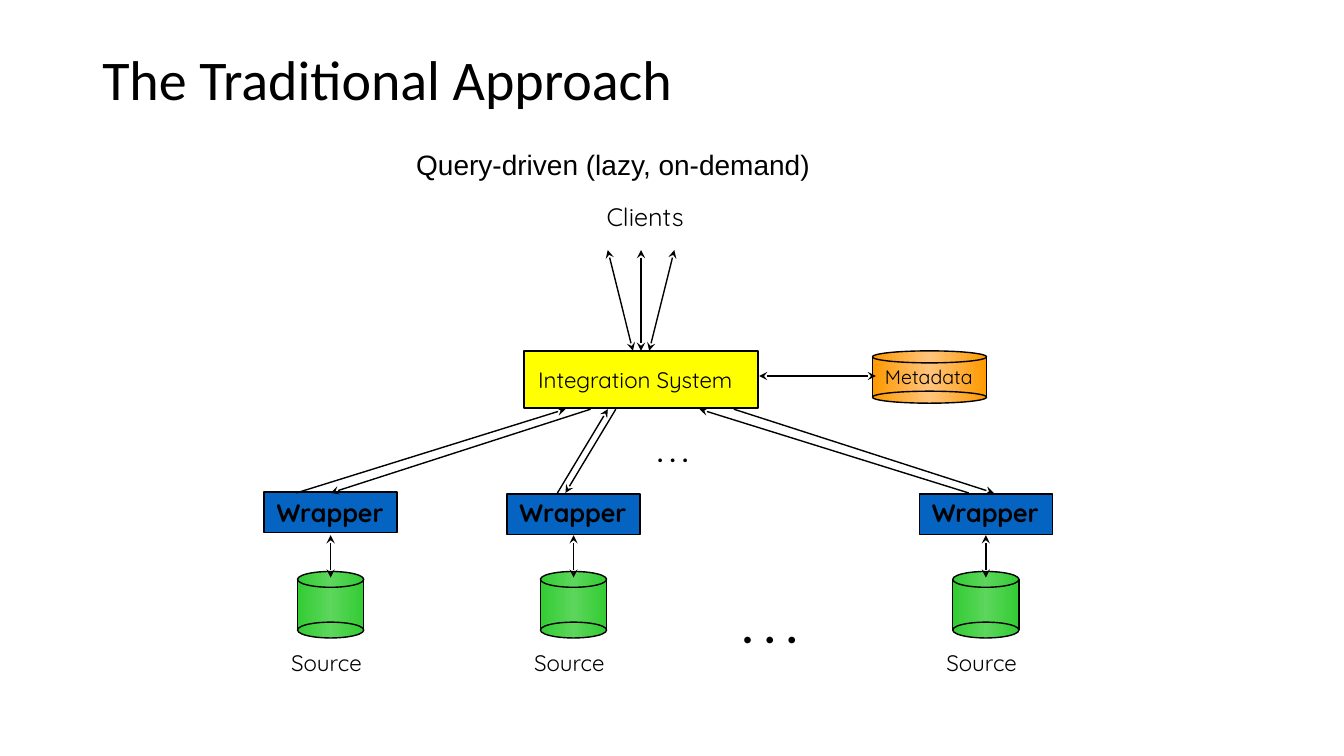
"""Build the slide on the traditional, query-driven integration approach."""
from copy import deepcopy
from dataclasses import dataclass

from lxml import etree
from pptx import Presentation
from pptx.dml.color import RGBColor
from pptx.enum.shapes import MSO_CONNECTOR, MSO_SHAPE
from pptx.enum.text import MSO_ANCHOR, MSO_AUTO_SIZE
from pptx.oxml.ns import qn
from pptx.util import Pt

RECT, OVAL = MSO_SHAPE.RECTANGLE, MSO_SHAPE.OVAL
STRAIGHT = MSO_CONNECTOR.STRAIGHT
TOP = MSO_ANCHOR.TOP
FIT, NO_FIT = MSO_AUTO_SIZE.SHAPE_TO_FIT_TEXT, MSO_AUTO_SIZE.NONE

BLACK = RGBColor(0x00, 0x00, 0x00)
WHITE = RGBColor(0xFF, 0xFF, 0xFF)
YELLOW = RGBColor(0xFF, 0xFF, 0x00)
BLUE = RGBColor(0x05, 0x63, 0xC1)
GREEN = RGBColor(0x33, 0xCC, 0x33)
LIGHT_GREEN = RGBColor(0x5C, 0xD6, 0x5C)
ORANGE = RGBColor(0xFF, 0x99, 0x00)
LIGHT_ORANGE = RGBColor(0xFF, 0xC4, 0x7C)

SYSTEM_BOTTOM, WRAPPER_TOP = 292.3, 352.1


@dataclass(frozen=True)
class Box:
    left: float
    top: float
    width: float
    height: float

    def lengths(self) -> tuple:
        return Pt(self.left), Pt(self.top), Pt(self.width), Pt(self.height)


@dataclass(frozen=True)
class Label:
    text: str
    box: Box
    size: float
    font: str = "Quicksand"
    bold: bool = False
    wrap: bool = False


@dataclass(frozen=True)
class Arrow:
    x1: float
    y1: float
    x2: float
    y2: float
    both: bool = True


@dataclass(frozen=True)
class Branch:
    center: float
    wrapper_top: float
    up: tuple
    down: tuple


BRANCHES = [
    Branch(236.2, 351.4, (211.7, 403.9), (421.9, 236.2)),
    Branch(409.7, 352.8, (398.2, 434.2), (439.9, 403.9)),
    Branch(704.2, 352.8, (691.9, 499.7), (524.2, 709.9)),
]
LABELS = [
    Label("Clients", Box(426.2, 140.4, 76.3, 28.8), 18),
    Label("Integration System", Box(377.3, 257.8, 161.3, 26.6), 16),
    Label("Metadata", Box(625, 257, 78.5, 24.5), 14),
    Label(". . .", Box(462.2, 308.9, 37.4, 28.8), 18, "Calibri", True),
    Label(". . .", Box(522.7, 424.1, 54.7, 46), 32, "Calibri", True),
    Label("Query-driven (lazy, on-demand)", Box(290.2, 101.5, 612, 54), 20,
          "Arial", wrap=True),
]


def add_label(shapes, label: Label):
    s = shapes.add_textbox(*label.box.lengths())
    tf = s.text_frame
    tf.word_wrap = label.wrap
    tf.auto_size = NO_FIT if label.wrap else FIT
    tf.text = label.text
    f = tf.paragraphs[0].runs[0].font
    f.name, f.size, f.bold = label.font, Pt(label.size), label.bold
    f.color.rgb = BLACK
    return s


def add_block(shapes, kind, box: Box, fill: RGBColor, line: RGBColor = BLACK,
              middle: RGBColor | None = None) -> None:
    s = shapes.add_shape(kind, *box.lengths())
    s.shadow.inherit = False
    s.line.color.rgb = line
    s.line.width = Pt(1)
    if middle is None:
        s.fill.solid()
        s.fill.fore_color.rgb = fill
        return
    s.fill.gradient()
    s.fill.gradient_angle = 0
    stops = s._element.spPr.find(".//" + qn("a:gsLst"))
    stops.insert(1, deepcopy(stops[0]))
    for i, (stop, color) in enumerate(zip(s.fill.gradient_stops, (fill, middle, fill))):
        stop.position = i / 2
        stop.color.rgb = color


def add_line(shapes, arrow: Arrow, ends: tuple = ()) -> None:
    c = shapes.add_connector(STRAIGHT, Pt(arrow.x1), Pt(arrow.y1),
                             Pt(arrow.x2), Pt(arrow.y2))
    c.line.color.rgb = BLACK
    c.line.width = Pt(1)
    ln = c.line._get_or_add_ln()
    for end in ends:
        etree.SubElement(ln, qn(end), type="stealth")
    etree.SubElement(c._element.spPr, qn("a:effectLst"))


def add_arrow(shapes, arrow: Arrow) -> None:
    add_line(shapes, arrow, ("a:headEnd", "a:tailEnd") if arrow.both else ("a:tailEnd",))


def add_cylinder(shapes, box: Box, rim: float, fill: RGBColor, middle: RGBColor) -> None:
    group = shapes.add_group_shape().shapes
    top, bottom = box.top + rim / 2, box.top + box.height - rim / 2
    body = Box(box.left, top, box.width, bottom - top)
    add_block(group, RECT, body, fill, WHITE, middle)
    for x in (box.left, box.left + box.width):
        add_line(group, Arrow(x, top, x, bottom))
    for y in (box.top, box.top + box.height - rim):
        add_block(group, OVAL, Box(box.left, y, box.width, rim), fill, BLACK, middle)


def add_branch(shapes, b: Branch) -> None:
    x = b.center
    add_label(shapes, Label("Source", Box(x - 35.3, 460.1, 70.6, 26.6), 16))
    add_cylinder(shapes, Box(x - 23.7, 408.2, 47.3, 47.5), 11.3, GREEN, LIGHT_GREEN)
    add_block(shapes, RECT, Box(x - 47.5, b.wrapper_top, 95, 29), BLUE)
    add_label(shapes, Label("Wrapper", Box(x - 45.7, 351.4, 90.7, 28.8), 18, bold=True))
    add_arrow(shapes, Arrow(x, 382.3, x, 412.6))
    add_arrow(shapes, Arrow(b.up[0], WRAPPER_TOP, b.up[1], SYSTEM_BOTTOM, both=False))
    add_arrow(shapes, Arrow(b.down[0], SYSTEM_BOTTOM, b.down[1], WRAPPER_TOP, both=False))


def main() -> None:
    prs = Presentation()
    prs.slide_width, prs.slide_height = Pt(960), Pt(540)
    shapes = prs.slides.add_slide(prs.slide_layouts[6]).shapes

    title = add_label(shapes, Label("The Traditional Approach", Box(66, 28.8, 828, 104.4),
                                    40, "Calibri", wrap=True))
    title.text_frame.vertical_anchor = TOP
    title.text_frame.margin_top = Pt(8.3)
    title.text_frame.paragraphs[0].line_spacing = 0.9

    add_block(shapes, RECT, Box(374.4, 250.6, 167, 41), YELLOW)
    for branch in BRANCHES:
        add_branch(shapes, branch)
    add_cylinder(shapes, Box(623.2, 250.6, 81.5, 37.4), 8.6, ORANGE, LIGHT_ORANGE)
    for label in LABELS:
        add_label(shapes, label)
    add_arrow(shapes, Arrow(542.2, 268.6, 625.7, 268.6))
    for side in (-1, 0, 1):
        add_arrow(shapes, Arrow(457.9 + 23.8 * side, 178.6, 457.9 + 5.8 * side, 250.6))
    prs.save("out.pptx")


if __name__ == "__main__":
    main()
